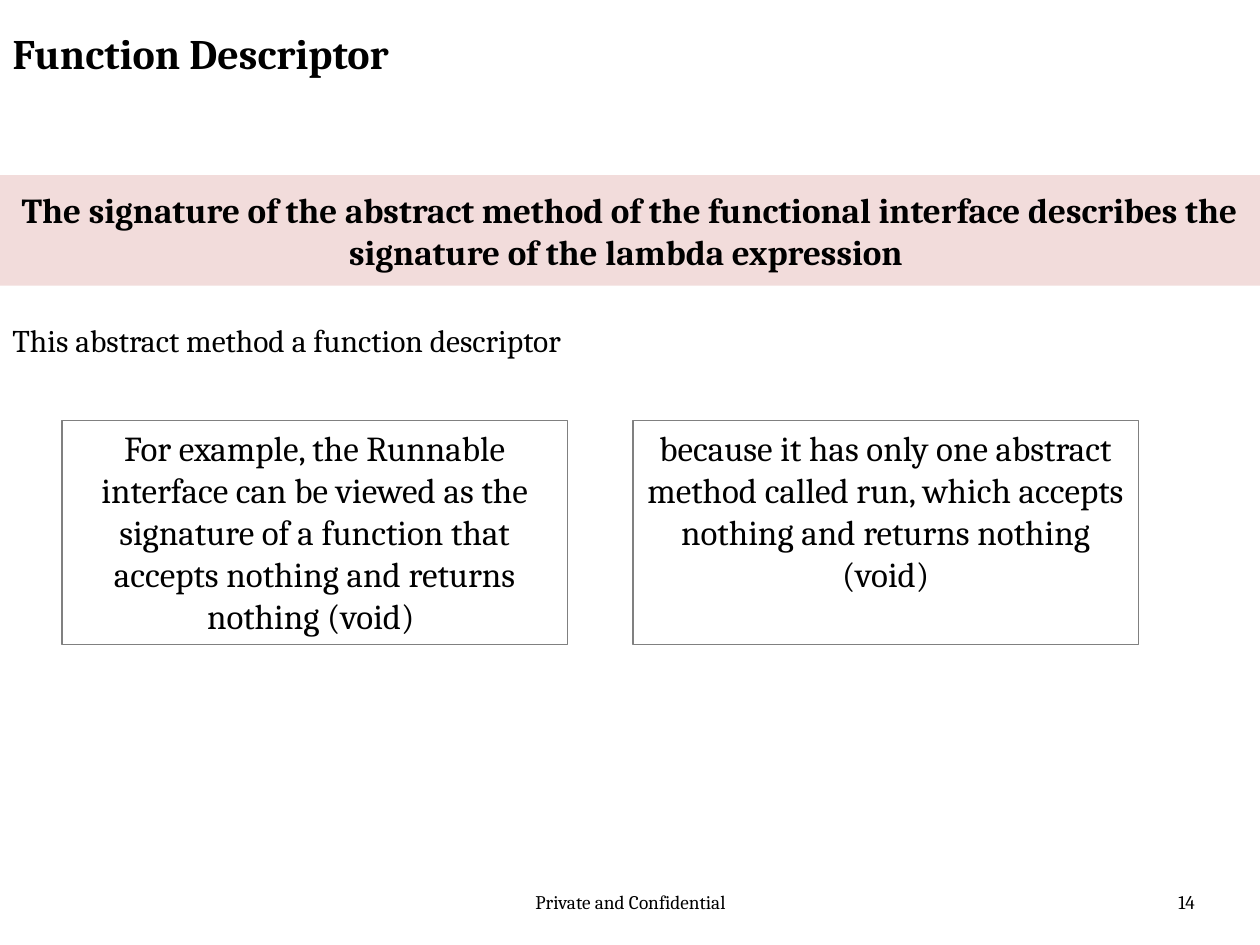
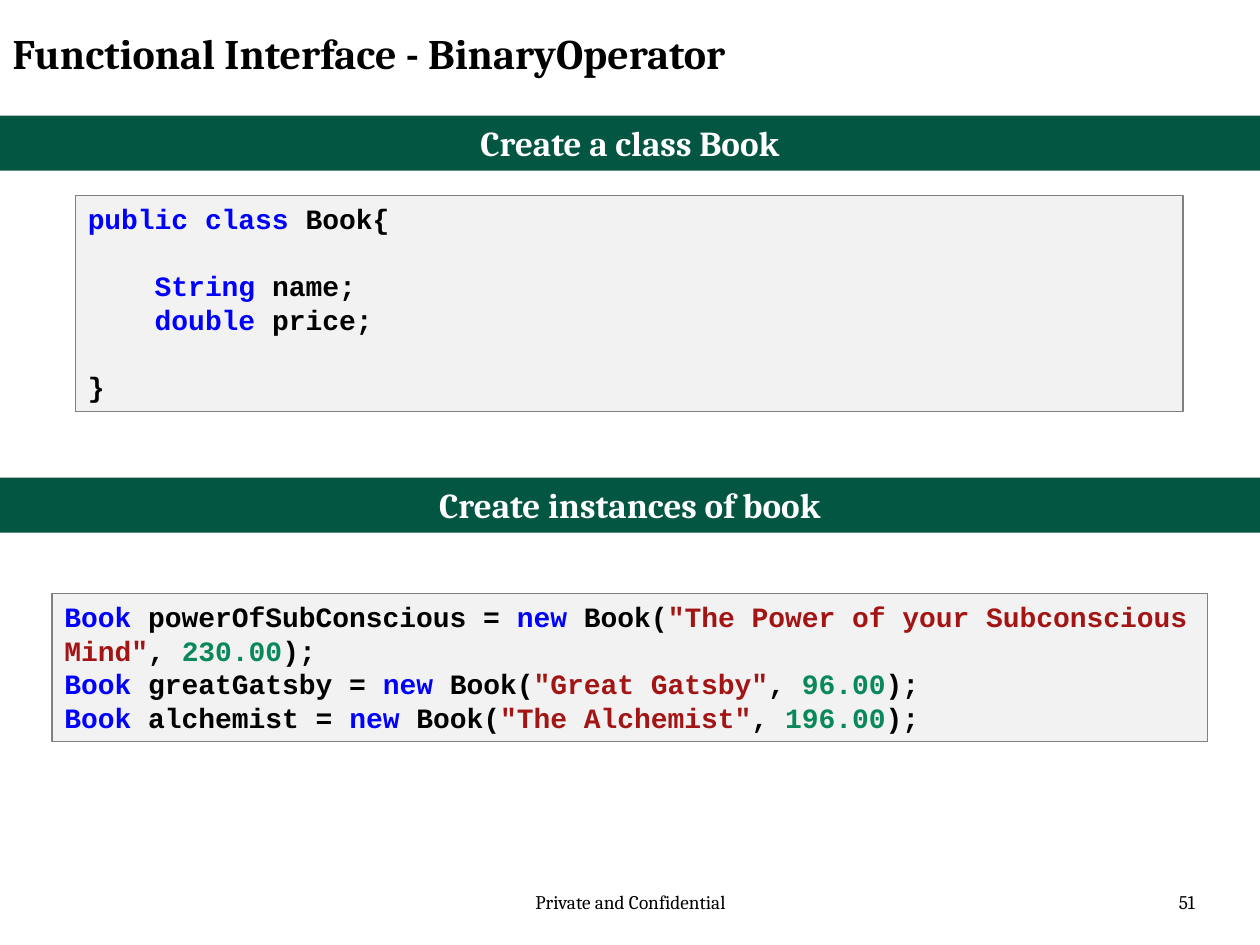
from pptx import Presentation
from pptx.dml.color import RGBColor
from pptx.enum.shapes import MSO_SHAPE as Shape
from pptx.enum.text import MSO_ANCHOR as Anchor, MSO_AUTO_SIZE as AutoSize, PP_ALIGN as Align
from pptx.util import Cm, Pt

WIDTH, HEIGHT = 25.4, 19.05
BLACK, WHITE, GREY = "000000", "FFFFFF", "808080"
GREEN, PINK, CODE_FILL = "035642", "F2DCDB", "F2F2F2"
KEYWORD, STRING, NUMBER = "0000FF", "A31515", "09885A"
SERIF, MONO = "Cambria", "Courier New"
CODE_SIZE, CODE_LINE = 16, 19.2
INDENT = " " * 4


def rgb(hex_colour):
    return RGBColor.from_string(hex_colour)


class Deck:
    """Holds the shared style and the slide being built."""

    def __init__(self):
        self.presentation = Presentation()
        self.presentation.slide_width = Cm(WIDTH)
        self.presentation.slide_height = Cm(HEIGHT)
        self.slide = None

    def start(self, heading, number):
        self.slide = self.presentation.slides.add_slide(self.presentation.slide_layouts[5])
        title = self.slide.shapes.title
        title.left, title.top, title.width, title.height = Cm(0), Cm(0.43), Cm(19.28), Cm(1.57)
        self.fill_text(title.text_frame, heading, 24, bold=True)
        self.label("Private and Confidential", 8.69, 17.83, 8.05, 11, Align.CENTER)
        self.label(str(number), 18.42, 17.83, 5.92, 11, Align.RIGHT)

    def style(self, run, size, colour=BLACK, bold=False, face=SERIF):
        run.font.name = face
        run.font.size = Pt(size)
        run.font.bold = bold
        run.font.color.rgb = rgb(colour)

    def fill_text(self, frame, words, size, align=Align.LEFT, colour=BLACK, bold=False):
        frame.word_wrap = True
        frame.auto_size = AutoSize.NONE
        frame.vertical_anchor = Anchor.TOP
        frame.text = words
        paragraph = frame.paragraphs[0]
        paragraph.alignment = align
        self.style(paragraph.runs[0], size, colour, bold)

    def label(self, words, left, top, width, size, align=Align.LEFT):
        area = self.slide.shapes.add_textbox(Cm(left), Cm(top), Cm(width), Cm(1.02))
        self.fill_text(area.text_frame, words, size, align)

    def panel(self, left, top, width, height, fill=None, line=None):
        panel = self.slide.shapes.add_shape(Shape.RECTANGLE, Cm(left), Cm(top), Cm(width), Cm(height))
        panel.shadow.inherit = False
        if fill:
            panel.fill.solid()
            panel.fill.fore_color.rgb = rgb(fill)
        else:
            panel.fill.background()
        if line:
            panel.line.color.rgb = rgb(line)
            panel.line.width = Pt(0.75)
        else:
            panel.line.fill.background()
        return panel.text_frame

    def band(self, words, top):
        frame = self.panel(0, top, WIDTH, 1.11, fill=GREEN)
        self.fill_text(frame, words, 20, Align.CENTER, WHITE, bold=True)

    def statement(self, words, top):
        frame = self.panel(0, top, WIDTH, 2.23, fill=PINK)
        self.fill_text(frame, words, 20, Align.CENTER, bold=True)
        frame.vertical_anchor = Anchor.MIDDLE
        frame.margin_top = frame.margin_bottom = Cm(0.25)

    def card(self, words, left, top):
        frame = self.panel(left, top, 10.19, 4.52, line=GREY)
        self.fill_text(frame, words, 20, Align.CENTER)

    def code(self, lines, left, top, width, height, gaps_before=()):
        frame = self.panel(left, top, width, height, fill=CODE_FILL, line=GREY)
        frame.word_wrap = True
        frame.vertical_anchor = Anchor.TOP
        for index, tokens in enumerate(lines):
            paragraph = frame.add_paragraph() if index else frame.paragraphs[0]
            paragraph.alignment = Align.LEFT
            paragraph.line_spacing = Pt(CODE_LINE)
            if index in gaps_before:
                paragraph.space_before = Pt(CODE_LINE)
            for words, colour in tokens:
                run = paragraph.add_run()
                run.text = words
                self.style(run, CODE_SIZE, colour, bold=True, face=MONO)


def new_book(variable, title, price):
    return [
        ("Book", KEYWORD), (f" {variable} = ", BLACK), ("new", KEYWORD), (" Book(", BLACK),
        (f'"{title}"', STRING), (", ", BLACK), (price, NUMBER), (");", BLACK),
    ]


def field(kind, name):
    return [(INDENT + kind, KEYWORD), (f" {name};", BLACK)]


def function_descriptor(deck):
    deck.start("Function Descriptor", 14)
    deck.statement("The signature of the abstract method of the functional interface "
                   "describes the signature of the lambda expression ", 3.53)
    deck.label("This abstract method a function descriptor", 0, 6.35, 12.7, 18)
    reasons = (
        "For example, the Runnable interface can be viewed as the signature of a function "
        "that accepts nothing and returns nothing (void) ",
        "because it has only one abstract method called run, which accepts nothing "
        "and returns nothing (void)",
    )
    for column, reason in enumerate(reasons):
        deck.card(reason, 1.25 + column * 11.51, 8.48)


def binary_operator(deck):
    deck.start("Functional Interface - BinaryOperator", 51)
    deck.band("Create a class Book", 2.33)
    book_class = [
        [("public class", KEYWORD), (" Book{", BLACK)],
        field("String", "name"),
        field("double", "price"),
        [("}", BLACK)],
    ]
    deck.code(book_class, 1.52, 3.94, 22.33, 4.36, gaps_before=(1, 3))
    deck.band("Create instances of book", 9.63)
    books = (
        ("powerOfSubConscious", "The Power of your Subconscious Mind", "230.00"),
        ("greatGatsby", "Great Gatsby", "96.00"),
        ("alchemist", "The Alchemist", "196.00"),
    )
    deck.code([new_book(*book) for book in books], 1.05, 11.96, 23.29, 2.99)


def main():
    deck = Deck()
    function_descriptor(deck)
    binary_operator(deck)
    deck.presentation.save("out.pptx")


if __name__ == "__main__":
    main()
